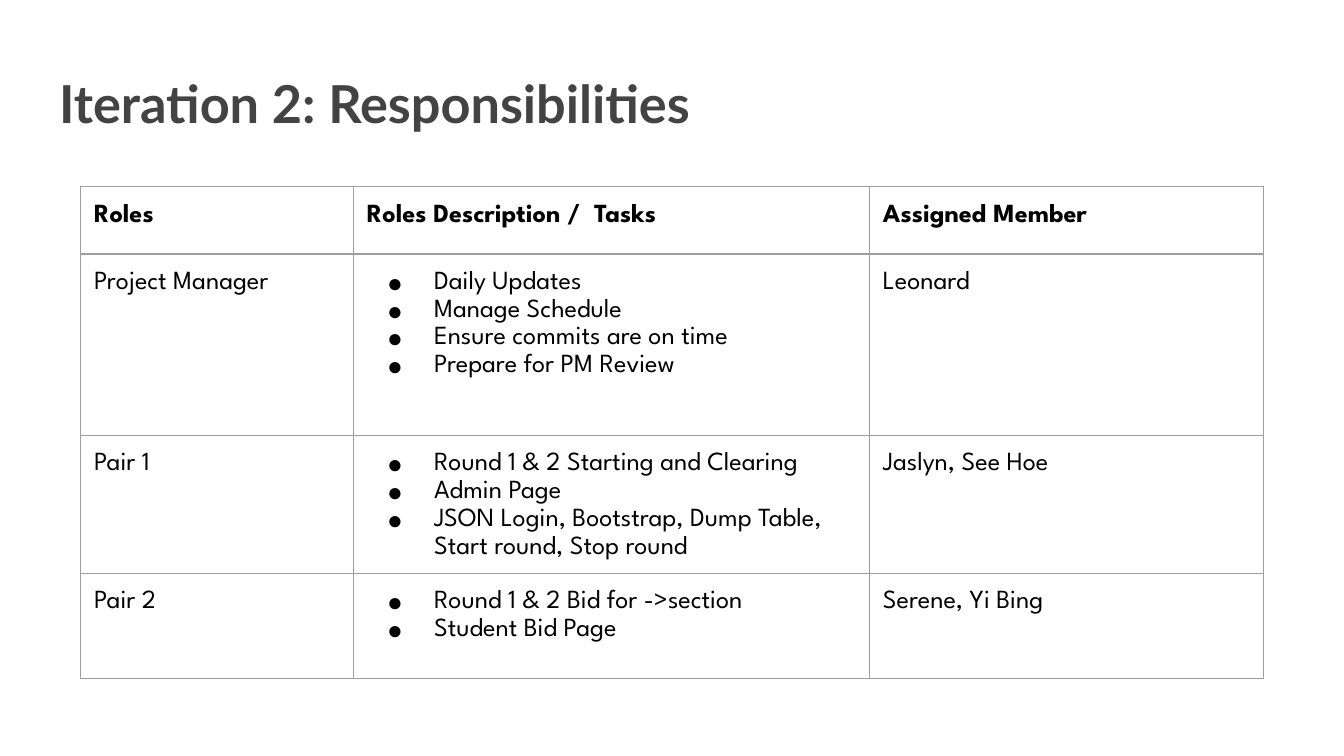
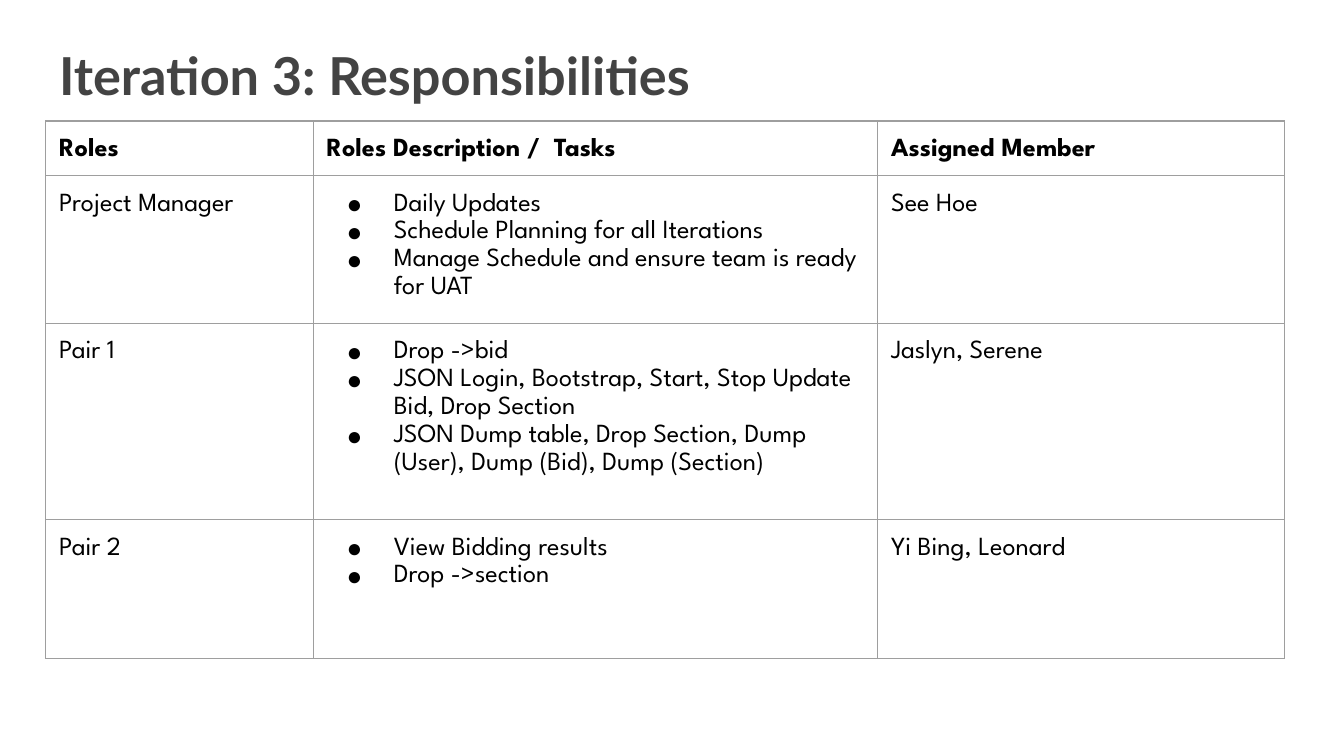
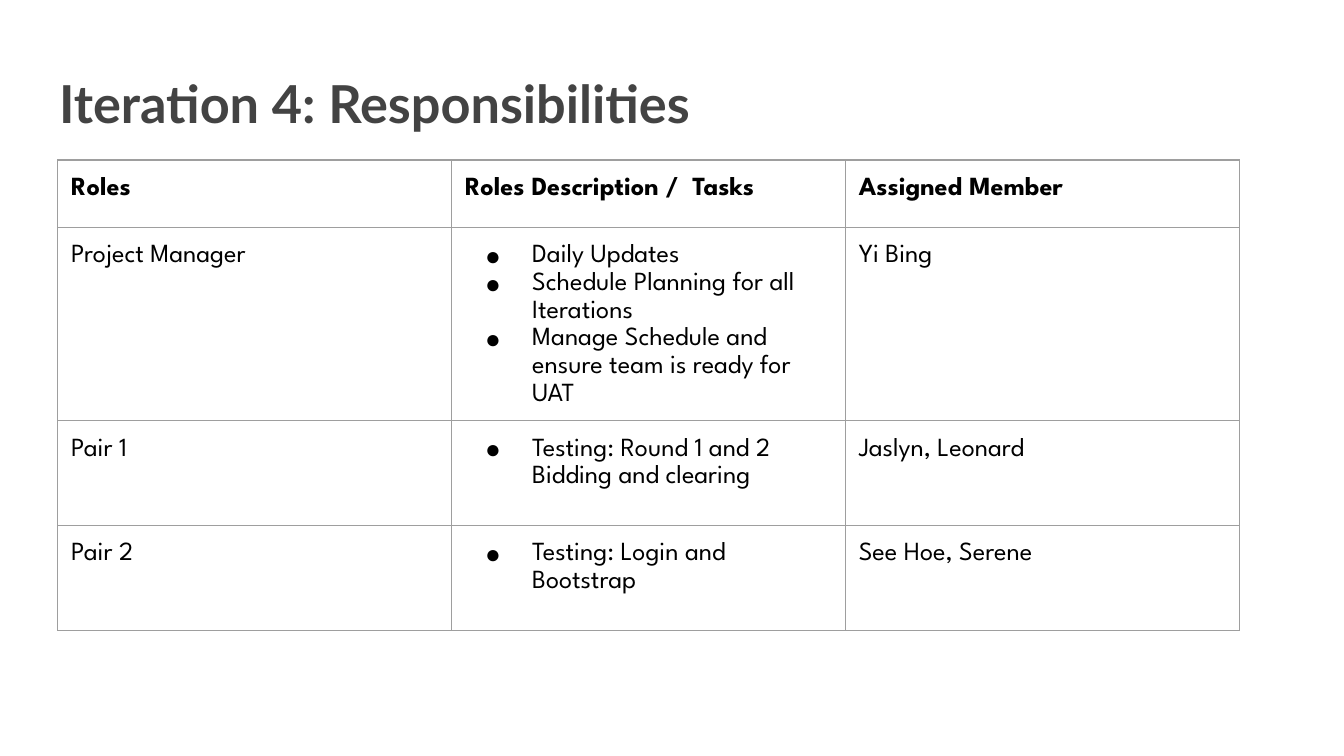
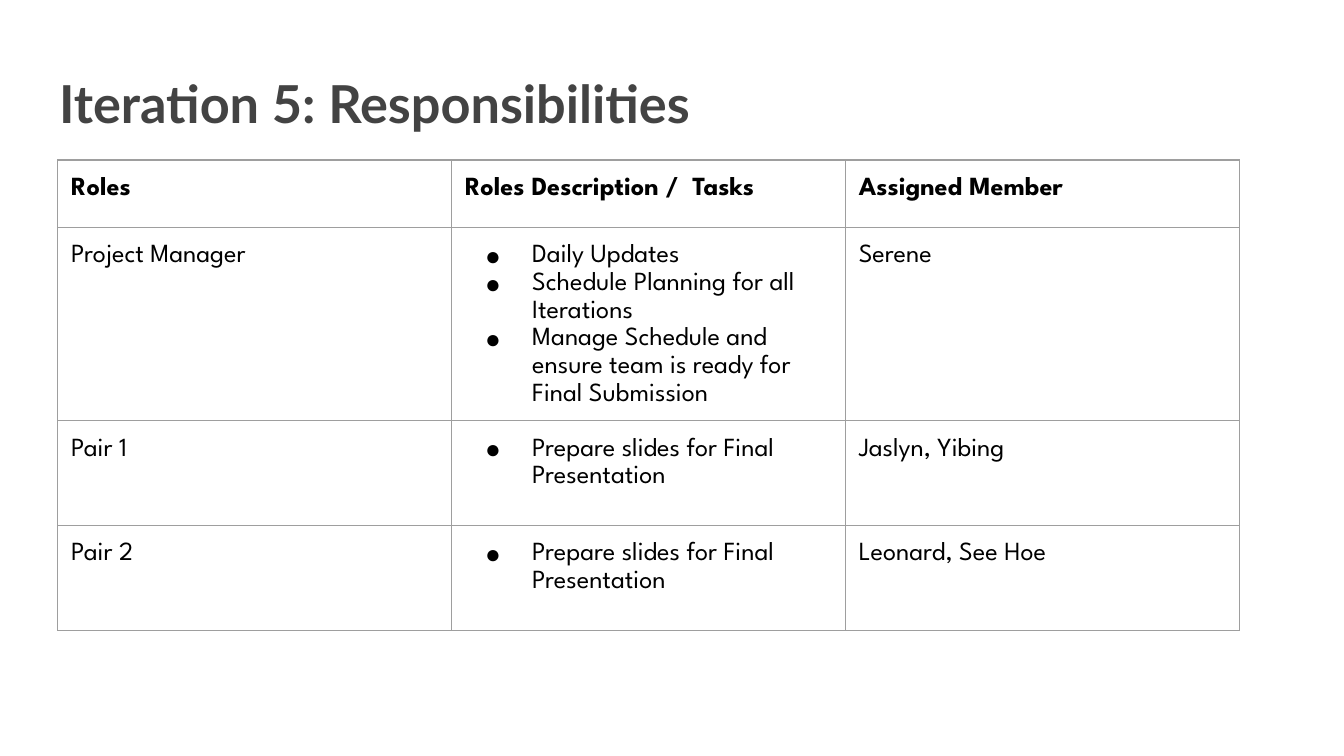
from lxml.etree import SubElement
from pptx import Presentation
from pptx.dml.color import RGBColor
from pptx.enum.text import MSO_ANCHOR, MSO_AUTO_SIZE, PP_ALIGN
from pptx.oxml.ns import qn
from pptx.util import Inches, Pt

TITLE_FONT, TABLE_FONT, BULLET_FONT = "Lato", "League Spartan", "Arial"
TITLE_COLOR, TEXT_COLOR, BORDER_COLOR = "434343", "000000", "9E9E9E"
INSET = 0.1
HEADER = ("Roles", "Roles Description /  Tasks", "Assigned Member")
ROLES = ("Project Manager", "Pair 1", "Pair 2")
EVEN_COLUMNS = (2.93, 2.93, 2.93)
USUAL_ROWS = (0.5, 1.35, 0.78, 0.78)
UPDATES, PLANNING = "Daily Updates", "Schedule Planning for all Iterations"
READY = "Manage Schedule and ensure team is ready for "
FINAL_SLIDES = "Prepare slides for Final Presentation"

ITERATIONS = [
    {
        "number": 2, "title_top": 0.43, "corner": (0.6, 1.39),
        "columns": (2.03, 3.84, 2.93), "rows": USUAL_ROWS,
        "work": [
            ([UPDATES, "Manage Schedule", "Ensure commits are on time",
              "Prepare for PM Review"], "Leonard"),
            (["Round 1 & 2 Starting and Clearing", "Admin Page",
              "JSON Login, Bootstrap, Dump Table, Start round, Stop round"],
             "Jaslyn, See Hoe"),
            (["Round 1 & 2 Bid for ->section", "Student Bid Page"], "Serene, Yi Bing"),
        ],
    },
    {
        "number": 3, "title_top": 0.22, "corner": (0.34, 0.9),
        "columns": (1.99, 4.2, 3.03), "rows": (0.38, 1.1, 1.46, 1.03),
        "work": [
            ([UPDATES, PLANNING, READY + "UAT"], "See Hoe"),
            (["Drop ->bid",
              "JSON Login, Bootstrap, Start, Stop Update Bid, Drop Section",
              "JSON Dump table, Drop Section, Dump (User), Dump (Bid), Dump (Section)"],
             "Jaslyn, Serene"),
            (["View Bidding results", "Drop ->section"], "Yi Bing, Leonard"),
        ],
    },
    {
        "number": 4, "title_top": 0.43, "corner": (0.43, 1.19),
        "columns": EVEN_COLUMNS, "rows": USUAL_ROWS,
        "work": [
            ([UPDATES, PLANNING, READY + "UAT"], "Yi Bing"),
            (["Testing: Round 1 and 2 Bidding and clearing"], "Jaslyn, Leonard"),
            (["Testing: Login and Bootstrap"], "See Hoe, Serene"),
        ],
    },
    {
        "number": 5, "title_top": 0.43, "corner": (0.43, 1.19),
        "columns": EVEN_COLUMNS, "rows": USUAL_ROWS,
        "work": [
            ([UPDATES, PLANNING, READY + "Final Submission"], "Serene"),
            ([FINAL_SLIDES], "Jaslyn, Yibing"),
            ([FINAL_SLIDES], "Leonard, See Hoe"),
        ],
    },
]


def set_font(para, name, size, color, bold):
    """Format all the text of a paragraph."""
    font = para.font
    font.name, font.size, font.bold = name, Pt(size), bold
    font.color.rgb = RGBColor.from_string(color)


def set_insets(area):
    """Give a cell or text frame the shared margins."""
    area.margin_left = area.margin_right = Inches(INSET)
    area.margin_top = area.margin_bottom = Inches(INSET)


def add_color(parent, color):
    """Append a colour element."""
    SubElement(parent, qn("a:srgbClr"), val=color)


def add_bullet(para):
    """Give a paragraph a hanging round bullet."""
    props = para._p.get_or_add_pPr()
    props.set("marL", str(Inches(0.5)))
    props.set("indent", str(Inches(-0.35)))
    add_color(SubElement(props, qn("a:buClr")), TEXT_COLOR)
    SubElement(props, qn("a:buFont"), typeface=BULLET_FONT)
    SubElement(props, qn("a:buChar"), char="●")


def add_borders(cell):
    """Draw a thin line on every side of a cell."""
    props = cell._tc.get_or_add_tcPr()
    for side in ("lnL", "lnR", "lnT", "lnB"):
        line = SubElement(props, qn(f"a:{side}"), w=str(Pt(0.75)))
        add_color(SubElement(line, qn("a:solidFill")), BORDER_COLOR)


def fill_cell(cell, content, bold):
    """Write a string, or a list as bullets, into a cell."""
    bulleted = isinstance(content, list)
    cell.text = "\n".join(content) if bulleted else content
    set_insets(cell)
    add_borders(cell)
    cell.fill.background()
    for para in cell.text_frame.paragraphs:
        if bulleted:
            add_bullet(para)
        para.line_spacing = 1.15
        set_font(para, TABLE_FONT, 14, TEXT_COLOR, bold)


def add_title(page, text, top):
    """Place and format the slide title."""
    title = page.shapes.title
    title.left, title.top = Inches(0.34), Inches(top)
    title.width, title.height = Inches(9.32), Inches(0.68)
    frame = title.text_frame
    frame.text = text
    frame.word_wrap, frame.auto_size = True, MSO_AUTO_SIZE.NONE
    frame.vertical_anchor = MSO_ANCHOR.TOP
    set_insets(frame)
    para = frame.paragraphs[0]
    para.alignment = PP_ALIGN.LEFT
    set_font(para, TITLE_FONT, 28, TITLE_COLOR, True)


def add_roles_table(page, iteration):
    """Add the table of roles, tasks and members."""
    columns, heights = iteration["columns"], iteration["rows"]
    bounds = (*iteration["corner"], sum(columns), sum(heights))
    table = page.shapes.add_table(
        len(heights), len(columns), *map(Inches, bounds)).table
    table.first_row = table.horz_banding = False
    for column, width in zip(table.columns, columns):
        column.width = Inches(width)
    work = [(role, *entry) for role, entry in zip(ROLES, iteration["work"])]
    for index, (row, height, contents) in enumerate(
            zip(table.rows, heights, [HEADER, *work])):
        row.height = Inches(height)
        for cell, content in zip(row.cells, contents):
            fill_cell(cell, content, bold=index == 0)


def main():
    """Build and save the deck."""
    deck = Presentation()
    deck.slide_width, deck.slide_height = Inches(10), Inches(10 * 9 / 16)
    for iteration in ITERATIONS:
        page = deck.slides.add_slide(deck.slide_layouts[5])
        add_title(page, f"Iteration {iteration['number']}: Responsibilities",
                  iteration["title_top"])
        add_roles_table(page, iteration)
    deck.save("out.pptx")


if __name__ == "__main__":
    main()
